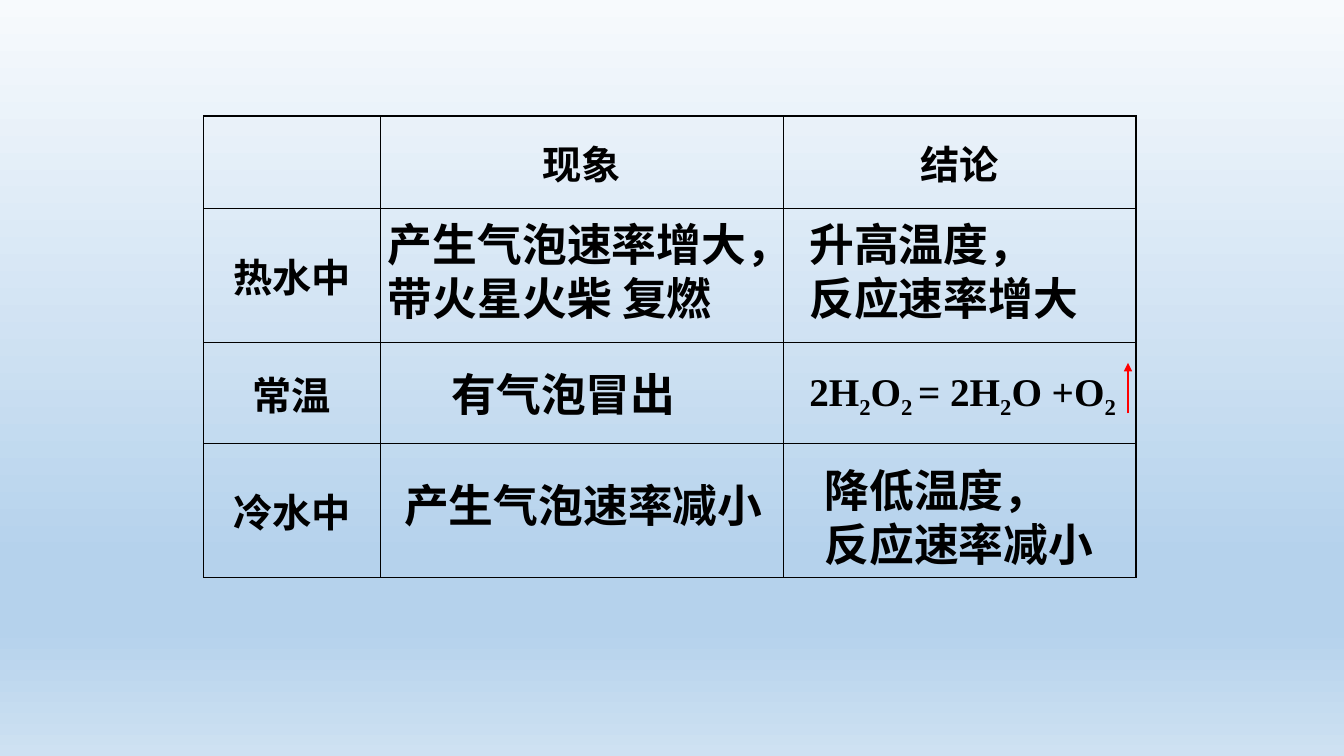
from lxml import etree
from pptx import Presentation
from pptx.dml.color import RGBColor
from pptx.enum.shapes import MSO_CONNECTOR
from pptx.enum.text import MSO_ANCHOR, MSO_AUTO_SIZE, PP_ALIGN
from pptx.oxml.ns import qn
from pptx.util import Pt

STRAIGHT = MSO_CONNECTOR.STRAIGHT
MIDDLE = MSO_ANCHOR.MIDDLE
CENTER = PP_ALIGN.CENTER
FIT_SHAPE = MSO_AUTO_SIZE.SHAPE_TO_FIT_TEXT

COLORS = {"ink": "000000", "gas": "FF0000", "top": "F7FAFD",
          "band": "B5D2EC", "bottom": "CEE1F2"}
CHINESE = "Noto Sans CJK SC"
LATIN = "Times New Roman"
SUBSCRIPT = -25000

GRADIENT = [(0, "top"), (74, "band"), (83, "band"), (100, "bottom")]
TABLE_LEFT, TABLE_TOP = 145.5, 82.8
COLUMN_WIDTHS = [126, 288, 252]
ROW_HEIGHTS = [66, 96, 72, 96]
LABELS = [
    ["", "现象", "结论"],
    ["热水中", "", ""],
    ["常温", "", ""],
    ["冷水中", "", ""],
]
ANSWERS = [
    (270, 151.2, 306.7, 85, False, ["产生气泡速率增大，", "带火星火柴 复燃"]),
    (571, 151.2, 228.2, 85, True, ["升高温度，", "反应速率增大"]),
    (315.4, 258.5, 176.4, 46, False, ["有气泡冒出"]),
    (281.5, 337.7, 274.3, 46, False, ["产生气泡速率减小"]),
    (581.8, 326.9, 209.5, 85, False, ["降低温度，", "反应速率减小"]),
]
EQUATION_BOX = (571, 258.5, 237.6, 41, False)
EQUATION = [("2H", 0), ("2", SUBSCRIPT), ("O", 0), ("2 ", SUBSCRIPT),
            ("= 2H", 0), ("2", SUBSCRIPT), ("O +O", 0), ("2", SUBSCRIPT)]
ARROW_X, ARROW_BOTTOM, ARROW_TOP = 805.7, 295.2, 259.2


def add_run(paragraph, text, size, latin, baseline=0):
    run = paragraph.add_run()
    run.text = text
    run.font.size = Pt(size)
    run.font.bold = True
    run.font.color.rgb = RGBColor.from_string(COLORS["ink"])
    run.font.name = latin
    properties = run.font._element
    etree.SubElement(properties, qn("a:ea")).set("typeface", CHINESE)
    if baseline:
        properties.set("baseline", str(baseline))


def add_text(slide, left, top, width, height, wrap, lines, size):
    box = slide.shapes.add_textbox(Pt(left), Pt(top), Pt(width), Pt(height))
    frame = box.text_frame
    frame.word_wrap = wrap
    frame.auto_size = FIT_SHAPE
    for index, pieces in enumerate(lines):
        paragraph = frame.add_paragraph() if index else frame.paragraphs[0]
        for text, baseline in pieces:
            add_run(paragraph, text, size, LATIN, baseline)


def add_solid_color(parent, color):
    fill = etree.SubElement(parent, qn("a:solidFill"))
    etree.SubElement(fill, qn("a:srgbClr")).set("val", COLORS[color])


def paint_background(slide):
    fill = slide.background.fill
    fill.gradient()
    fill.gradient_angle = 270
    stops = slide.element.find(".//" + qn("a:gsLst"))
    for stop in list(stops):
        stops.remove(stop)
    for position, color in GRADIENT:
        stop = etree.SubElement(stops, qn("a:gs"))
        stop.set("pos", str(position * 1000))
        etree.SubElement(stop, qn("a:srgbClr")).set("val", COLORS[color])


def add_results_table(slide):
    frame = slide.shapes.add_table(
        len(ROW_HEIGHTS), len(COLUMN_WIDTHS), Pt(TABLE_LEFT), Pt(TABLE_TOP),
        Pt(sum(COLUMN_WIDTHS)), Pt(sum(ROW_HEIGHTS)))
    table = frame.table
    table.first_row = False
    table.horz_banding = False
    for column, width in zip(table.columns, COLUMN_WIDTHS):
        column.width = Pt(width)
    for row, height, labels in zip(table.rows, ROW_HEIGHTS, LABELS):
        row.height = Pt(height)
        for cell, label in zip(row.cells, labels):
            cell.vertical_anchor = MIDDLE
            properties = cell._tc.get_or_add_tcPr()
            for side in ("lnL", "lnR", "lnT", "lnB"):
                border = etree.SubElement(properties, qn("a:" + side))
                border.set("w", str(Pt(1)))
                add_solid_color(border, "ink")
            cell.fill.background()
            if label:
                paragraph = cell.text_frame.paragraphs[0]
                paragraph.alignment = CENTER
                add_run(paragraph, label, 28, CHINESE)


def add_gas_arrow(slide):
    arrow = slide.shapes.add_connector(
        STRAIGHT, Pt(ARROW_X), Pt(ARROW_BOTTOM), Pt(ARROW_X), Pt(ARROW_TOP))
    arrow.line.color.rgb = RGBColor.from_string(COLORS["gas"])
    arrow.line.width = Pt(2)
    etree.SubElement(arrow.line._get_or_add_ln(), qn("a:tailEnd")).set("type", "triangle")
    etree.SubElement(arrow._element.spPr, qn("a:effectLst"))


def main():
    presentation = Presentation()
    presentation.slide_width = Pt(960)
    presentation.slide_height = Pt(540)
    slide = presentation.slides.add_slide(presentation.slide_layouts[6])
    paint_background(slide)
    add_results_table(slide)
    for *place, lines in ANSWERS:
        add_text(slide, *place, [[(line, 0)] for line in lines], 32)
    add_text(slide, *EQUATION_BOX, [EQUATION], 28)
    add_gas_arrow(slide)
    presentation.save("out.pptx")


if __name__ == "__main__":
    main()
